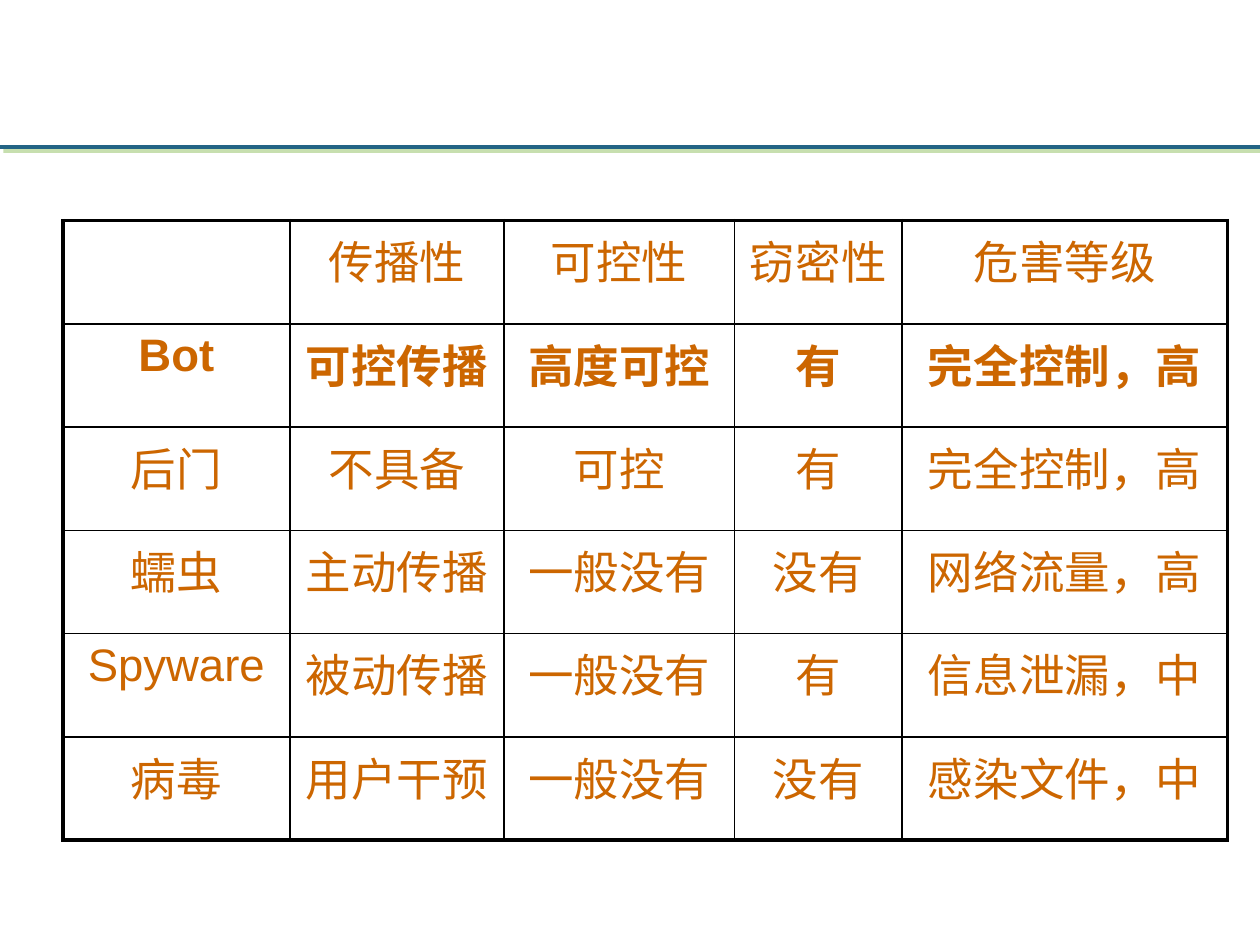
"""Build the slide that compares bots with other malware in a table."""
from lxml.etree import SubElement as Sub
from pptx import Presentation
from pptx.dml.color import RGBColor as RGB
from pptx.enum.shapes import MSO_CONNECTOR as Link
from pptx.enum.text import PP_ALIGN as Align
from pptx.oxml.ns import qn
from pptx.util import Inches, Pt

INK = {"rule": "236485", "shade": "90C060", "text": "CC6600", "edge": "000000"}
HAN = "Noto Sans CJK SC"
ROWS = [
    ["", "传播性", "可控性", "窃密性", "危害等级"],
    ["Bot", "可控传播", "高度可控", "有", "完全控制，高"],
    ["后门", "不具备", "可控", "有", "完全控制，高"],
    ["蠕虫", "主动传播", "一般没有", "没有", "网络流量，高"],
    ["Spyware", "被动传播", "一般没有", "有", "信息泄漏，中"],
    ["病毒", "用户干预", "一般没有", "没有", "感染文件，中"],
]
COLS = [1.8, 1.7, 1.83, 1.33, 2.58]
HIGH = 0.82


def write(cell, text, look):
    par = cell.text_frame.paragraphs[0]
    par.alignment = Align.CENTER
    if not text:
        par.font.size = look["size"]
        return
    run = par.add_run()
    run.text = text
    for key, val in look.items():
        setattr(run.font, key, val)
    run.font.color.rgb = RGB.from_string(INK["text"])
    Sub(run.font._element, qn("a:ea"), typeface=HAN)


def edge(cell, side, width):
    line = Sub(cell._tc.get_or_add_tcPr(), qn("a:ln" + side), w=str(Pt(width)))
    fill = Sub(line, qn("a:solidFill"))
    Sub(fill, qn("a:srgbClr"), val=INK["edge"])


deck = Presentation()
deck.slide_width, deck.slide_height = Inches(10), Inches(7.5)
wide = deck.slide_width
slide = deck.slides.add_slide(deck.slide_layouts[6])

level = Inches(1.17)
rule = slide.shapes.add_connector(Link.STRAIGHT, 0, level, wide, level)
rule.line.color.rgb = RGB.from_string(INK["rule"])
rule.line.width = Pt(2.25)
glow = Sub(rule._element.spPr, qn("a:effectLst"))
cast = Sub(glow, qn("a:outerShdw"), dist=str(Pt(2.8)), dir=str(45 * 60000),
           algn="ctr", rotWithShape="0")
tint = Sub(cast, qn("a:srgbClr"), val=INK["shade"])
Sub(tint, qn("a:alpha"), val="50000")

frame = slide.shapes.add_table(
    len(ROWS), len(COLS), Inches(0.5), Inches(1.75),
    Inches(sum(COLS)), Inches(HIGH * len(ROWS)))
grid = frame.table
grid.first_row = grid.horz_banding = False
for col, span in zip(grid.columns, COLS):
    col.width = Inches(span)
for r, row in enumerate(ROWS):
    grid.rows[r].height = Inches(HIGH)
    for c, text in enumerate(row):
        cell = grid.cell(r, c)
        outer = {"L": c == 0, "R": c == len(COLS) - 1,
                 "T": r == 0, "B": r == len(ROWS) - 1}
        for side, thick in outer.items():
            edge(cell, side, 2.25 if thick else 1)
        cell.fill.background()
        write(cell, text, {"size": Pt(26), "name": "Arial", "bold": r == 1})

deck.save("out.pptx")
